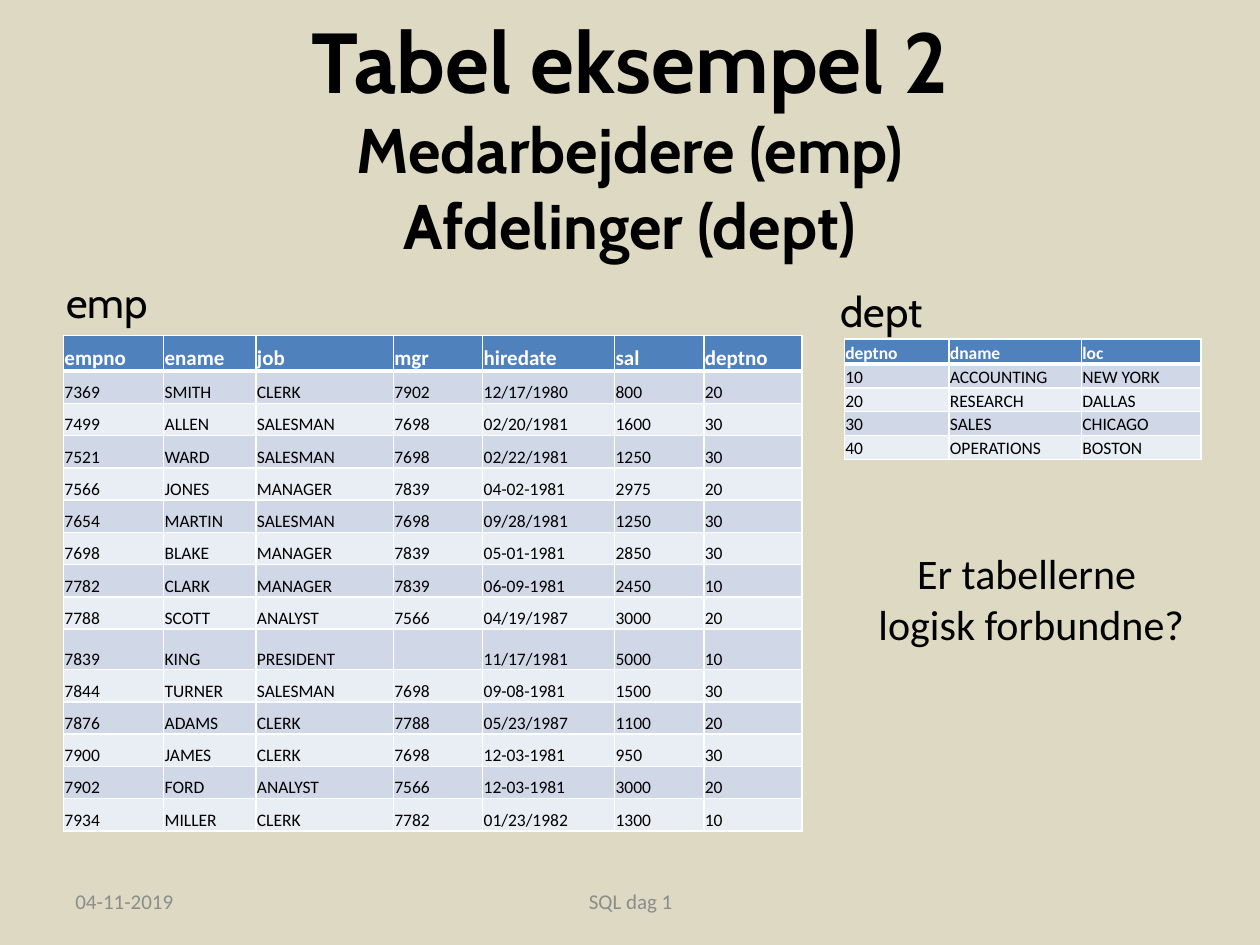
from lxml import etree
from pptx import Presentation
from pptx.dml.color import RGBColor
from pptx.enum.text import MSO_ANCHOR, PP_ALIGN
from pptx.oxml.ns import qn
from pptx.util import Cm, Pt

LEFT, CENTER = PP_ALIGN.LEFT, PP_ALIGN.CENTER
TOP, MIDDLE, BOTTOM = MSO_ANCHOR.TOP, MSO_ANCHOR.MIDDLE, MSO_ANCHOR.BOTTOM

COLORS = {
    "background": "DDD9C3", "text": "000000", "footer": "8C8C8C",
    "header": "4F81BD", "odd": "D0D8E8", "even": "E9EDF4", "white": "FFFFFF",
}

TITLE = [("Tabel eksempel 2", 48.6), ("Medarbejdere (emp)", 36), ("Afdelinger (dept)", 36)]

EMP = [
    ("empno", "ename", "job", "mgr", "hiredate", "sal", "deptno"),
    ("7369", "SMITH", "CLERK", "7902", "12/17/1980", "800", "20"),
    ("7499", "ALLEN", "SALESMAN", "7698", "02/20/1981", "1600", "30"),
    ("7521", "WARD", "SALESMAN", "7698", "02/22/1981", "1250", "30"),
    ("7566", "JONES", "MANAGER", "7839", "04-02-1981", "2975", "20"),
    ("7654", "MARTIN", "SALESMAN", "7698", "09/28/1981", "1250", "30"),
    ("7698", "BLAKE", "MANAGER", "7839", "05-01-1981", "2850", "30"),
    ("7782", "CLARK", "MANAGER", "7839", "06-09-1981", "2450", "10"),
    ("7788", "SCOTT", "ANALYST", "7566", "04/19/1987", "3000", "20"),
    ("7839", "KING", "PRESIDENT", "", "11/17/1981", "5000", "10"),
    ("7844", "TURNER", "SALESMAN", "7698", "09-08-1981", "1500", "30"),
    ("7876", "ADAMS", "CLERK", "7788", "05/23/1987", "1100", "20"),
    ("7900", "JAMES", "CLERK", "7698", "12-03-1981", "950", "30"),
    ("7902", "FORD", "ANALYST", "7566", "12-03-1981", "3000", "20"),
    ("7934", "MILLER", "CLERK", "7782", "01/23/1982", "1300", "10"),
]
DEPT = [
    ("deptno", "dname", "loc"),
    ("10", "ACCOUNTING", "NEW YORK"),
    ("20", "RESEARCH", "DALLAS"),
    ("30", "SALES", "CHICAGO"),
    ("40", "OPERATIONS", "BOSTON"),
]

# Rows, left, top, column widths, header height, row height, header size (cm, pt)
TABLES = [
    (EMP, 1.28, 6.76, (2.02, 1.86, 2.77, 1.8, 2.66, 1.8, 1.98), 0.72, 0.65, 12),
    (DEPT, 17.02, 6.83, (2.11, 2.67, 2.41), 0.51, 0.48, 10),
]
BODY_SIZE = 10
GAP_ROW_HEIGHT = 0.82

# Lines, box (cm), size, font, colour, alignment, anchor
TEXTS = [
    (["emp"], (1.09, 5.44, 2.79, 1.27), 24, "Cabin", "text", LEFT, TOP),
    (["dept"], (16.69, 5.64, 2.21, 1.27), 24, "Cabin", "text", LEFT, TOP),
    (["04-11-2019"], (1.27, 17.65, 5.92, 1.02), 12, "Calibri", "footer", LEFT, MIDDLE),
    (["SQL dag 1"], (8.69, 17.65, 8.05, 1.02), 12, "Calibri", "footer", CENTER, MIDDLE),
    (["Er tabellerne ", "logisk forbundne?"], (16.89, 10.92, 7.8, 2.31), 24, "Calibri",
     "text", CENTER, TOP),
]


def rgb(name):
    """Return the named colour."""
    return RGBColor.from_string(COLORS[name])


def style(font, size, face, color, bold=False):
    """Format a font."""
    font.size, font.name, font.bold = Pt(size), face, bold
    font.color.rgb = rgb(color)


def add_text(slide, lines, box, face, color, align, anchor, bold=False):
    """Add a text box with one paragraph for each (text, size) line."""
    tf = slide.shapes.add_textbox(*map(Cm, box)).text_frame
    tf.word_wrap, tf.vertical_anchor = True, anchor
    tf.text = "\n".join(text for text, _ in lines)
    for p, (_, size) in zip(tf.paragraphs, lines):
        p.alignment = align
        style(p.runs[0].font, size, face, color, bold)


def set_borders(cell, widths):
    """Draw white borders, with widths given in points for each side."""
    tc_pr = cell._tc.get_or_add_tcPr()
    for i, (side, width) in enumerate(widths.items()):
        ln = etree.Element(qn("a:ln" + side), w=str(Pt(width)))
        fill = etree.SubElement(ln, qn("a:solidFill"))
        etree.SubElement(fill, qn("a:srgbClr"), val=COLORS["white"])
        tc_pr.insert(i, ln)


def fill_cell(cell, text, row, header_size):
    """Write and format one table cell."""
    is_header = row == 0
    cell.text = text
    cell.vertical_anchor = BOTTOM
    cell.margin_left = cell.margin_right = cell.margin_top = Cm(0.02)
    cell.margin_bottom = 0
    cell.fill.solid()
    cell.fill.fore_color.rgb = rgb("header" if is_header else "odd" if row % 2 else "even")
    for r in cell.text_frame.paragraphs[0].runs:
        style(r.font, header_size if is_header else BODY_SIZE, "Calibri",
              "white" if is_header else "text", is_header)
    set_borders(cell, {"L": 1, "R": 1, "T": 3 if row == 1 else 1, "B": 3 if is_header else 1})


def add_data_table(slide, rows, left, top, widths, header_height, row_height, header_size):
    """Add a table with a header row and banded body rows."""
    heights = [header_height] + [row_height if all(row) else GAP_ROW_HEIGHT for row in rows[1:]]
    table = slide.shapes.add_table(len(rows), len(widths), Cm(left), Cm(top),
                                   Cm(sum(widths)), Cm(sum(heights))).table
    for column, width in zip(table.columns, widths):
        column.width = Cm(width)
    for i, (values, height) in enumerate(zip(rows, heights)):
        table.rows[i].height = Cm(height)
        for j, text in enumerate(values):
            fill_cell(table.cell(i, j), text, i, header_size)


prs = Presentation()
prs.slide_width, prs.slide_height = Cm(25.4), Cm(19.05)
slide = prs.slides.add_slide(prs.slide_layouts[6])
slide.background.fill.solid()
slide.background.fill.fore_color.rgb = rgb("background")

add_text(slide, TITLE, (1.27, 1.14, 22.86, 3.18), "Cabin", "text", CENTER, MIDDLE, True)
for table_data in TABLES:
    add_data_table(slide, *table_data)
for lines, box, size, face, color, align, anchor in TEXTS:
    add_text(slide, [(line, size) for line in lines], box, face, color, align, anchor)

prs.save("out.pptx")
